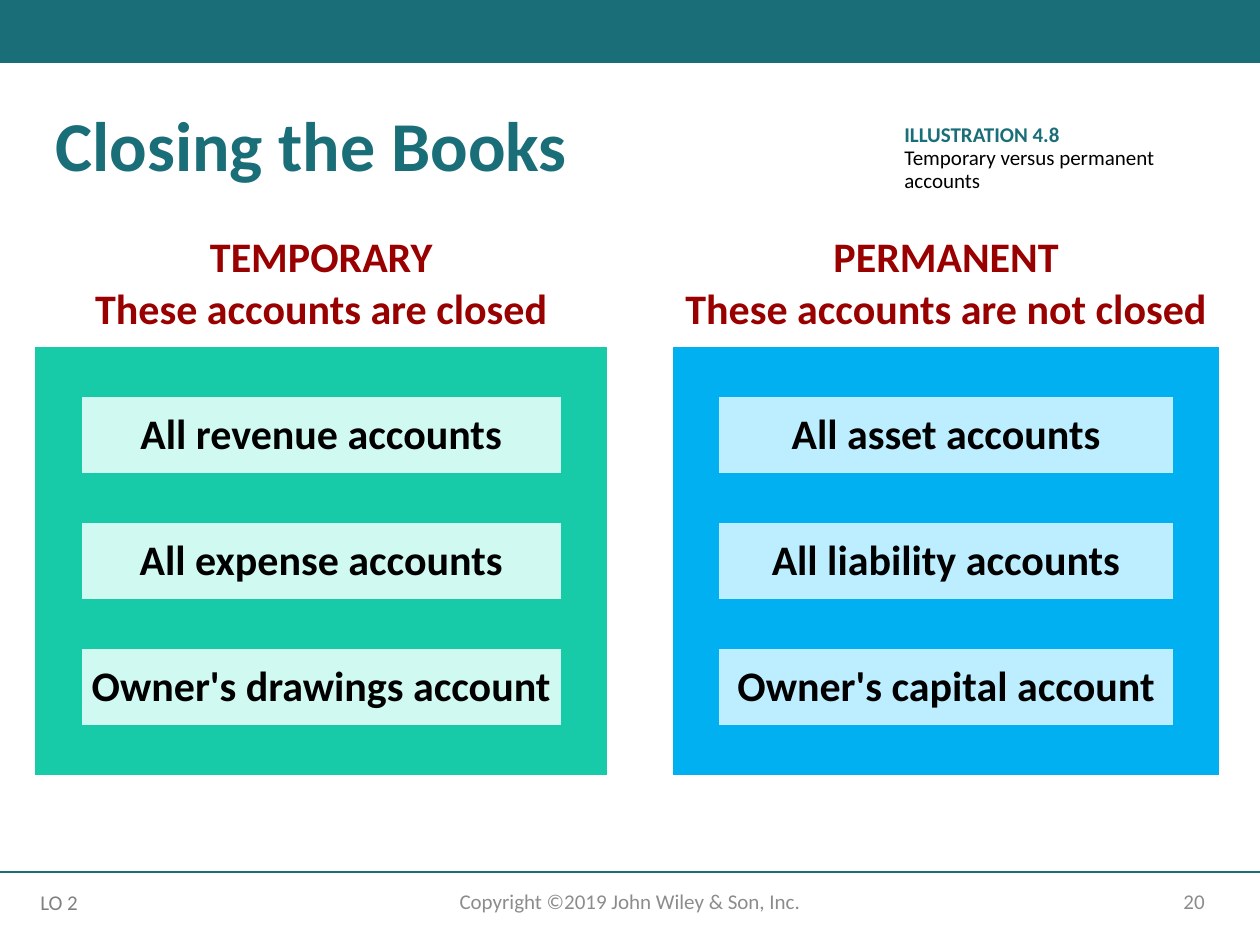
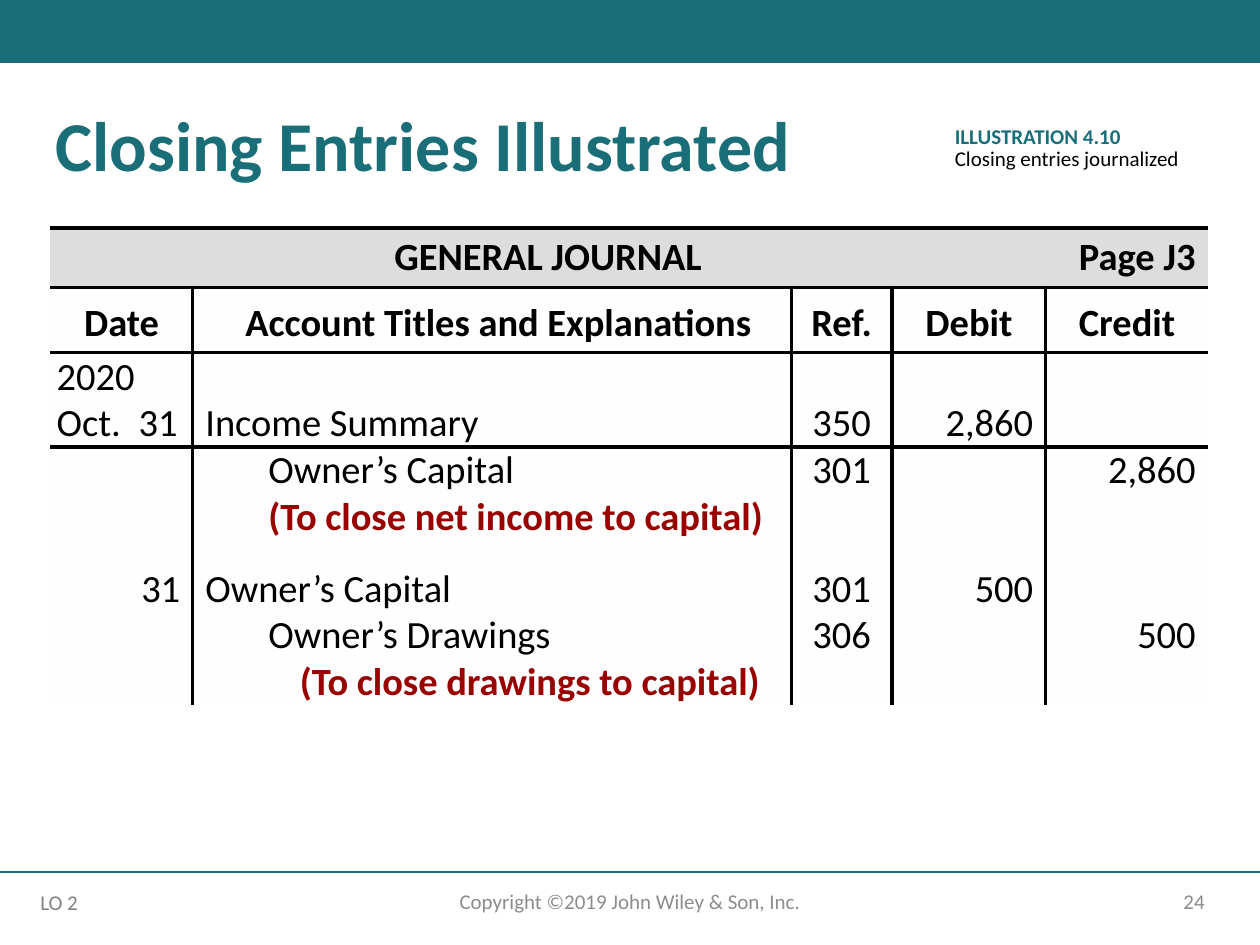
import pptx
import pptx.dml.color
import pptx.enum.shapes
import pptx.enum.text
import pptx.oxml
import pptx.oxml.ns
import pptx.util
from lxml import etree

Inches = pptx.util.Inches
Pt = pptx.util.Pt
RGBColor = pptx.dml.color.RGBColor
ALIGN = pptx.enum.text.PP_ALIGN
ANCHOR = pptx.enum.text.MSO_ANCHOR
qn = pptx.oxml.ns.qn

FONT = "Calibri"
TEAL = RGBColor(0x19, 0x6E, 0x78)
RED = RGBColor(0x99, 0x00, 0x00)
BLACK = RGBColor(0, 0, 0)
WHITE = RGBColor(0xFF, 0xFF, 0xFF)
GREY = RGBColor(0x8C, 0x8C, 0x8C)
DARK_GREY = RGBColor(0x80, 0x80, 0x80)
GREEN = RGBColor(0x17, 0xCB, 0xA9)
PALE_GREEN = RGBColor(0xCF, 0xF9, 0xF1)
BLUE = RGBColor(0x00, 0xB0, 0xF0)
PALE_BLUE = RGBColor(0xBD, 0xEE, 0xFF)
HEADER_GREY = RGBColor(0xDD, 0xDD, 0xDD)
PAPER = RGBColor(0xFF, 0xFE, 0xFE)
NO_STYLE = "{2D5ABB26-0587-4C30-8999-92F81FD0307C}"

COPYRIGHT = "Copyright ©2019 John Wiley & Son, Inc."
OBJECTIVE = "LO 2"

# heading, accounts, panel colour, box colour, first column
ACCOUNT_GROUPS = [
    ("TEMPORARY\nThese accounts are closed",
     ["All revenue accounts", "All expense accounts", "Owner's drawings account"],
     GREEN, PALE_GREEN, 0),
    ("PERMANENT\nThese accounts are not closed",
     ["All asset accounts", "All liability accounts", "Owner's capital account"],
     BLUE, PALE_BLUE, 4),
]
GROUP_COLS = [0.37, 3.8, 0.37, 0.52, 0.37, 3.6, 0.37]
GROUP_ROWS = [0.9] + [0.4, 0.6] * 3 + [0.4]

JOURNAL_HEADS = ["Date", "Account Titles and Explanations", "Ref.", "Debit", "Credit"]
# date, account, ref., debit, credit, account indent, gap above
JOURNAL_ENTRIES = [
    ("2020\nOct.\t31", "Income Summary", "350", "2,860", "", 0, 0),
    ("", "Owner’s Capital", "301", "", "2,860", 0.5, 0),
    ("", "(To close net income to capital)", "", "", "", 0.5, 0),
    ("31", "Owner’s Capital", "301", "500", "", 0, 0.2),
    ("", "Owner’s Drawings", "306", "", "500", 0.5, 0),
    ("", "(To close drawings to capital)", "", "", "", 0.75, 0),
]
JOURNAL_COLS = [1.13, 4.75, 0.8, 1.22, 1.29]
JOURNAL_ROWS = [0.47, 0.52, 0.75, 0.37, 0.37, 0.57, 0.37, 0.37]
ENTRY_ALIGNS = [ALIGN.RIGHT, ALIGN.LEFT, ALIGN.CENTER, ALIGN.RIGHT, ALIGN.RIGHT]
ENTRY_INSETS = [(0.05, 0.1), (0.1, 0), (0, 0), (0, 0.1), (0, 0.1)]  # left, right


def style(p, size, color, bold=False, align=ALIGN.LEFT):
    p.alignment = align
    for r in p.runs:
        r.font.name, r.font.size = FONT, Pt(size)
        r.font.bold, r.font.color.rgb = bold, color


def set_insets(box, left, top, right, bottom):
    box.margin_left, box.margin_top = Inches(left), Inches(top)
    box.margin_right, box.margin_bottom = Inches(right), Inches(bottom)


def add_text(slide, box, text, size, color, align=ALIGN.LEFT, anchor=ANCHOR.TOP):
    sp = slide.shapes.add_textbox(*map(Inches, box))
    tf = sp.text_frame
    tf.word_wrap, tf.vertical_anchor, tf.text = True, anchor, text
    for p in tf.paragraphs:
        style(p, size, color, align=align)
    return sp


def add_slide(prs, title, title_width, number):
    """Add a slide with its title, top band and footer."""
    slide = prs.slides.add_slide(prs.slide_layouts[5])
    band = slide.shapes.add_shape(pptx.enum.shapes.MSO_SHAPE.RECTANGLE,
                                  0, 0, prs.slide_width, Inches(0.5))
    band.shadow.inherit = False
    band.fill.solid()
    band.fill.fore_color.rgb = TEAL
    band.line.fill.background()

    rule = slide.shapes.add_connector(pptx.enum.shapes.MSO_CONNECTOR.STRAIGHT,
                                      0, Inches(6.92), prs.slide_width, Inches(6.92))
    rule.line.color.rgb, rule.line.width = TEAL, Pt(1)
    etree.SubElement(rule._element.spPr, qn("a:effectLst"))

    sp = slide.shapes.title
    sp.left, sp.top, sp.width, sp.height = map(Inches, (0.34, 0.83, title_width, 0.71))
    tf = sp.text_frame
    tf.text, tf.vertical_anchor = title, ANCHOR.TOP
    tf.auto_size = pptx.enum.text.MSO_AUTO_SIZE.NONE
    tf.paragraphs[0].line_spacing = 0.9
    style(tf.paragraphs[0], 40, TEAL, bold=True)

    add_text(slide, (7.06, 6.95, 2.6, 0.4), str(number), 12, GREY,
             ALIGN.RIGHT, ANCHOR.MIDDLE)
    add_text(slide, (3.31, 6.95, 3.38, 0.4), COPYRIGHT, 12, GREY,
             ALIGN.CENTER, ANCHOR.MIDDLE)
    objective = add_text(slide, (0.25, 7.01, 0.53, 0.3), OBJECTIVE, 12, DARK_GREY)
    set_insets(objective.text_frame, 0.07, 0.05, 0, 0.05)
    return slide


def add_caption(slide, box, label, description):
    sp = add_text(slide, box, f"{label}\n{description}", 12, BLACK)
    sp.fill.solid()
    sp.fill.fore_color.rgb = WHITE
    for p in sp.text_frame.paragraphs:
        p.line_spacing = 0.9
    style(sp.text_frame.paragraphs[0], 12, TEAL, bold=True)


def add_table(slide, left, top, cols, rows):
    """Add a plain table whose cells have no insets."""
    frame = slide.shapes.add_table(len(rows), len(cols), Inches(left), Inches(top),
                                   Inches(sum(cols)), Inches(sum(rows)))
    table = frame.table
    table.first_row = table.horz_banding = False
    table._tbl.tblPr.find(qn("a:tableStyleId")).text = NO_STYLE
    for col, width in zip(table.columns, cols):
        col.width = Inches(width)
    for row, height in zip(table.rows, rows):
        row.height = Inches(height)
    for cell in table.iter_cells():
        set_insets(cell, 0, 0, 0, 0)
    return table


def fill_cell(cell, color):
    cell.fill.solid()
    cell.fill.fore_color.rgb = color


def write_cell(cell, text, size, color, bold, align, anchor, insets):
    cell.text, cell.vertical_anchor = text, anchor
    set_insets(cell, *insets)
    for p in cell.text_frame.paragraphs:
        style(p, size, color, bold, align)


def set_borders(cell, sides):
    """Draw black borders on the given sides, ordered as in L, R, T, B."""
    for i, side in enumerate(sides):
        ln = pptx.oxml.parse_xml(
            f'<a:ln{side} {pptx.oxml.ns.nsdecls("a")} w="{Pt(2.25)}">'
            f'<a:solidFill><a:srgbClr val="{BLACK}"/></a:solidFill></a:ln{side}>')
        cell._tc.get_or_add_tcPr().insert(i, ln)


def build_accounts_slide(prs):
    slide = add_slide(prs, "Closing the Books", 6.49, 20)
    table = add_table(slide, 0.28, 1.85, GROUP_COLS, GROUP_ROWS)
    for heading, accounts, panel, box, first in ACCOUNT_GROUPS:
        table.cell(0, first).merge(table.cell(0, first + 2))
        write_cell(table.cell(0, first), heading, 24, RED, True,
                   ALIGN.CENTER, ANCHOR.MIDDLE, (0, 0, 0, 0.1))
        for row in range(1, len(GROUP_ROWS)):
            for col in range(first, first + 3):
                fill_cell(table.cell(row, col), panel)
        for i, account in enumerate(accounts):
            cell = table.cell(2 + 2 * i, first + 1)
            fill_cell(cell, box)
            write_cell(cell, account, 24, BLACK, True,
                       ALIGN.CENTER, ANCHOR.MIDDLE, (0, 0.1, 0, 0.1))
    add_caption(slide, (7.08, 0.94, 2.27, 0.65), "ILLUSTRATION 4.8",
                "Temporary versus permanent accounts")


def write_entry(table, row, entry):
    *texts, indent, gap = entry
    for col, text in enumerate(texts):
        if not text:
            continue
        cell = table.cell(row, col)
        left, right = ENTRY_INSETS[col]
        explains = text.startswith("(")
        align = ALIGN.LEFT if "\n" in text else ENTRY_ALIGNS[col]
        write_cell(cell, text, 22, RED if explains else BLACK, explains,
                   align, ANCHOR.BOTTOM, (left, gap, right, 0))
        for p in cell.text_frame.paragraphs:
            pPr = p._p.get_or_add_pPr()
            if col == 1:
                pPr.set("marL", str(Inches(indent)))
            if "\t" in p.text:
                tabs = etree.SubElement(pPr, qn("a:tabLst"))
                etree.SubElement(tabs, qn("a:tab"), pos=str(Inches(0.65)), algn="l")


def build_journal_slide(prs):
    slide = add_slide(prs, "Closing Entries Illustrated", 9.49, 24)
    table = add_table(slide, 0.4, 1.81, JOURNAL_COLS, JOURNAL_ROWS)
    last = len(JOURNAL_COLS) - 1
    table.cell(0, 0).merge(table.cell(0, last - 1))
    write_cell(table.cell(0, 0), "GENERAL JOURNAL", 22, BLACK, True,
               ALIGN.CENTER, ANCHOR.MIDDLE, (0, 0.05, 0, 0.05))
    write_cell(table.cell(0, last), "Page J3", 22, BLACK, True,
               ALIGN.RIGHT, ANCHOR.MIDDLE, (0, 0.05, 0.1, 0.05))
    for col, head in enumerate(JOURNAL_HEADS):
        write_cell(table.cell(1, col), head, 22, BLACK, True, ALIGN.CENTER,
                   ANCHOR.BOTTOM, (0.1 if col == 1 else 0, 0.1, 0, 0.05))
    for row, entry in enumerate(JOURNAL_ENTRIES, start=2):
        write_entry(table, row, entry)
    for row in range(len(JOURNAL_ROWS)):
        for col in range(last + 1):
            cell = table.cell(row, col)
            fill_cell(cell, PAPER if row else HEADER_GREY)
            drawn = {"L": row > 0 and col > 0, "R": row > 0 and col < last,
                     "T": row <= 2, "B": row <= 1}
            set_borders(cell, [side for side, shown in drawn.items() if shown])
    add_caption(slide, (7.48, 0.95, 2.27, 0.46), "ILLUSTRATION 4.10",
                "Closing entries journalized")


def main():
    prs = pptx.Presentation()
    prs.slide_width, prs.slide_height = Inches(10), Inches(7.5)
    build_accounts_slide(prs)
    build_journal_slide(prs)
    prs.save("out.pptx")


if __name__ == "__main__":
    main()
